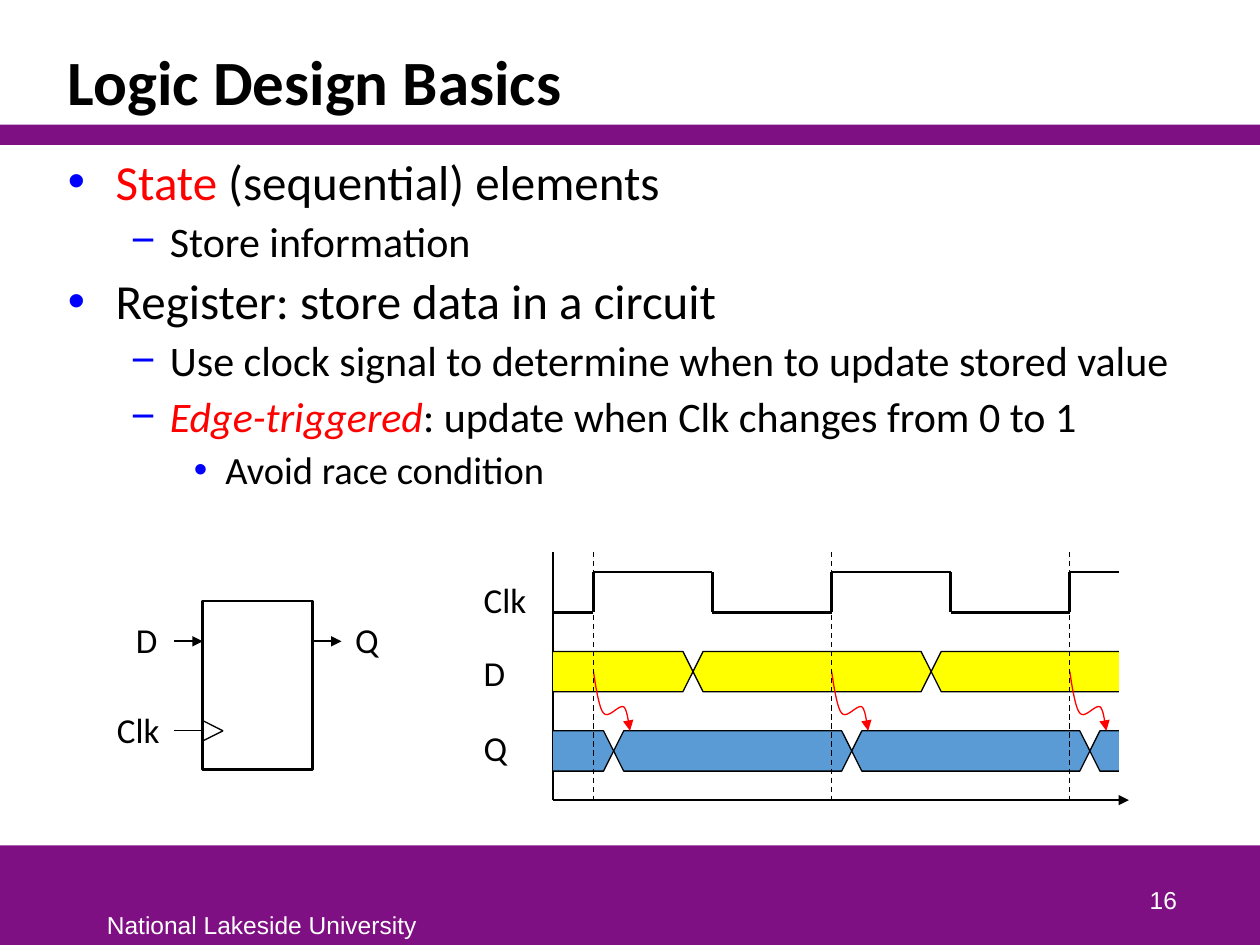
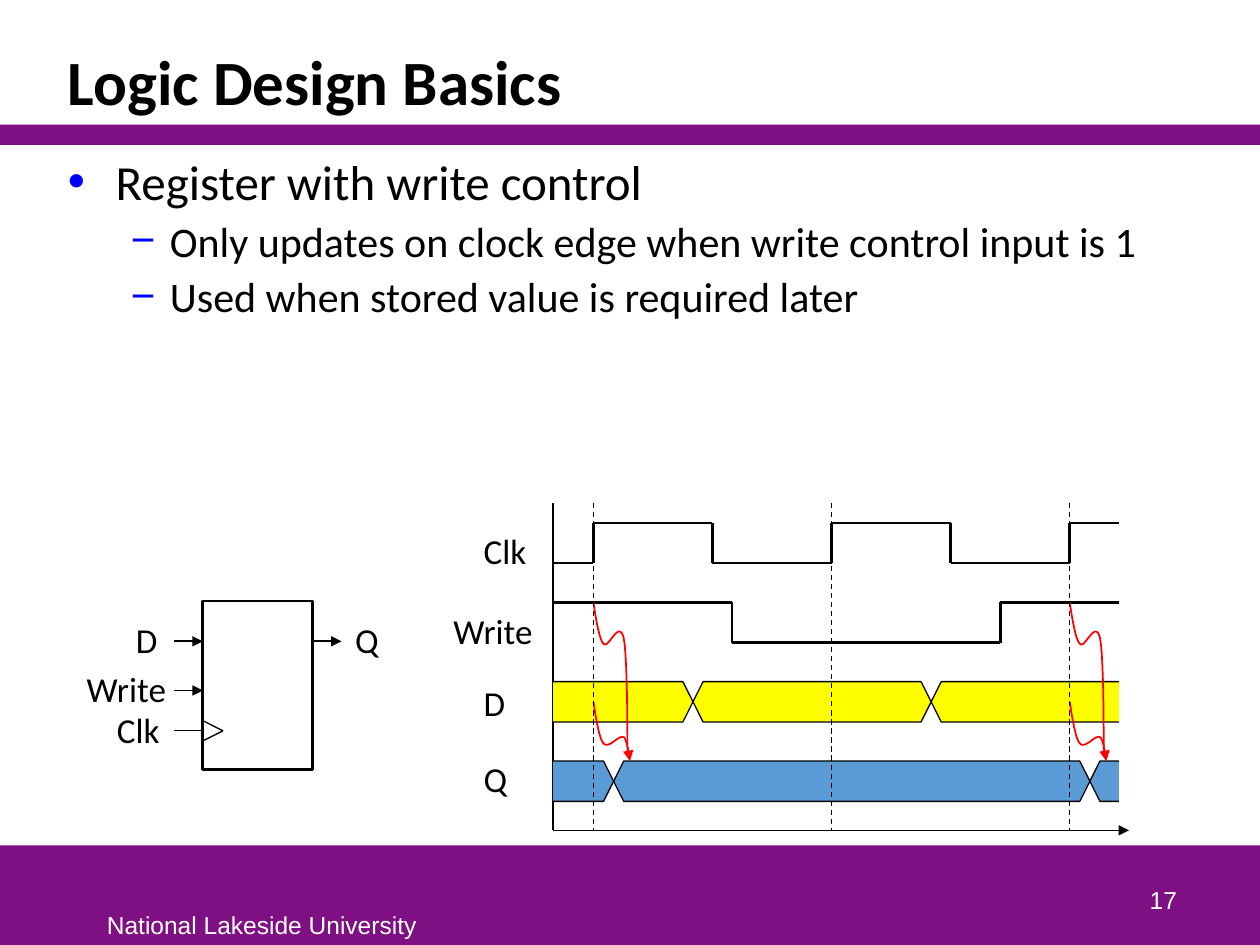
from dataclasses import dataclass

from lxml import etree
from pptx import Presentation
from pptx.dml.color import RGBColor
from pptx.enum import dml, shapes, text
from pptx.oxml.ns import qn
from pptx.util import Inches, Pt


@dataclass(frozen=True)
class Theme:
    band: str = "7F1084"
    ink: str = "000000"
    paper: str = "FFFFFF"
    accent: str = "FF0000"
    bullet: str = "0000FF"
    data_bus: str = "FFFF00"
    output_bus: str = "5B9BD5"
    body_font: str = "Calibri"
    footer_font: str = "Arial"
    title_size: int = 36
    label_size: int = 20
    footer_size: int = 14
    thin: float = 0.75
    medium: float = 1
    thick: float = 1.5


@dataclass(frozen=True)
class Signal:
    """Label width, left offsets from register and time axis, drop in a row."""
    width: float
    register_left: float
    axis_left: float
    drop: float


THEME = Theme()
SIGNALS = {
    "Clk": Signal(0.54, -0.78, -0.65, 0),
    "Write": Signal(0.84, -1.02, -0.89, 0.01),
    "D": Signal(0.37, -0.63, -0.65, -0.05),
    "Q": Signal(0.39, 1.11, -0.65, -0.08),
}
# Outline level: size, left margin, hanging indent, bullet
LEVELS = [(28, 0.38, 0.38, "•"), (24, 0.81, 0.31, "−"), (22, 1.25, 0.25, "•")]

ROW_TOP, ROW_STEP, ROW_HEIGHT, ROW_TAIL = 0.16, 0.63, 0.32, 0.55
FIRST_EDGE, PERIOD, BEVEL = 0.32, 1.89, 0.08
EDGES = [FIRST_EDGE + PERIOD * i for i in range(3)]
DATA_CHANGES = [edge + 0.79 for edge in EDGES[:2]]
OUTPUT_DELAY = 0.16

DATA_CURVE = [(0, 0), (0.01, 0.06), (0.04, 0.29), (0.08, 0.33),
              (0.12, 0.38), (0.2, 0.26), (0.24, 0.28),
              (0.27, 0.3), (0.28, 0.43), (0.29, 0.47)]
WRITE_CURVE = DATA_CURVE[:5] + [(0.2, 0.13), (0.24, 0.28),
                                (0.27, 0.42), (0.27, 1.01), (0.27, 1.2)]


def rgb(value):
    return RGBColor.from_string(value)


def add_run(paragraph, words, *, size, font=THEME.body_font, color=THEME.ink,
            bold=False, italic=False):
    run = paragraph.add_run()
    run.text = words
    run.font.size, run.font.name = Pt(size), font
    run.font.bold, run.font.italic = bold, italic
    run.font.color.rgb = rgb(color)


def add_text(parent, words, box, *, wrap=True, anchor=text.MSO_ANCHOR.TOP,
             align=text.PP_ALIGN.LEFT, spacing=None, **style):
    frame = parent.add_textbox(*map(Inches, box)).text_frame
    frame.word_wrap, frame.vertical_anchor = wrap, anchor
    paragraph = frame.paragraphs[0]
    paragraph.alignment, paragraph.line_spacing = align, spacing
    if words:
        add_run(paragraph, words, **style)
    return frame


def style_line(shape, width, color=THEME.ink, arrow=False, dashed=False):
    shape.line.color.rgb = rgb(color)
    shape.line.width = Pt(width)
    if dashed:
        shape.line.dash_style = dml.MSO_LINE.DASH
    if arrow:
        ln = shape._element.spPr.find(qn("a:ln"))
        etree.SubElement(ln, qn("a:tailEnd"), type="triangle")


def add_line(parent, start, end, width=THEME.thin, **style):
    line = parent.add_connector(shapes.MSO_CONNECTOR.STRAIGHT,
                                *map(Inches, (*start, *end)))
    etree.SubElement(line._element.spPr, qn("a:effectLst"))
    style_line(line, width, **style)


def add_outline(parent, points, closed=False, fill=None, width=THEME.thin, **style):
    first, *rest = [(Inches(x), Inches(y)) for x, y in points]
    builder = parent.build_freeform(*first)
    builder.add_line_segments(rest, close=closed)
    outline = builder.convert_to_shape()
    outline.shadow.inherit = False
    if fill:
        outline.fill.solid()
        outline.fill.fore_color.rgb = rgb(fill)
    else:
        outline.fill.background()
    style_line(outline, width, **style)


def add_rectangle(parent, box, fill=None):
    rectangle = parent.add_shape(shapes.MSO_SHAPE.RECTANGLE, *map(Inches, box))
    rectangle.shadow.inherit = False
    if fill:
        rectangle.fill.solid()
        rectangle.fill.fore_color.rgb = rgb(fill)
        rectangle.line.fill.background()
    else:
        rectangle.fill.background()
        style_line(rectangle, THEME.thick)


def add_label(parent, name, left, top):
    add_text(parent, name, (left, top, SIGNALS[name].width, 0.44),
             wrap=False, size=THEME.label_size)


def add_frame(slide, title, number):
    """Bands, footer, title and page number shared by all slides."""
    parts = slide.shapes
    for box in ((0, 6.71, 10, 0.79), (0, 0.99, 10, 0.16)):
        add_rectangle(parts, box, THEME.band)
    footer = dict(size=THEME.footer_size, font=THEME.footer_font, color=THEME.paper)
    add_text(parts, "National Lakeside University", (0.75, 7.17, 2.76, 0.33),
             wrap=False, **footer)
    add_text(parts, title, (0.44, 0.25, 9.12, 0.74), spacing=0.85,
             anchor=text.MSO_ANCHOR.BOTTOM, size=THEME.title_size, bold=True)
    add_text(parts, str(number), (7.36, 6.81, 2.08, 0.5),
             anchor=text.MSO_ANCHOR.BOTTOM, align=text.PP_ALIGN.RIGHT, **footer)


def add_bullet(paragraph, level):
    _, margin, hanging, mark = LEVELS[level]
    properties = paragraph._p.get_or_add_pPr()
    properties.set("marL", str(Inches(margin)))
    properties.set("indent", str(-Inches(hanging)))
    color = etree.SubElement(properties, qn("a:buClr"))
    etree.SubElement(color, qn("a:srgbClr"), val=THEME.bullet)
    etree.SubElement(properties, qn("a:buFont"), typeface=THEME.footer_font)
    etree.SubElement(properties, qn("a:buChar"), char=mark)


def add_outline_text(slide, items, box):
    """Each item is a level followed by (words, format) runs."""
    frame = add_text(slide.shapes, "", box)
    for index, (level, *runs) in enumerate(items):
        paragraph = frame.add_paragraph() if index else frame.paragraphs[0]
        paragraph.level = level
        paragraph.space_before = Pt(3)
        add_bullet(paragraph, level)
        for words, style in runs:
            add_run(paragraph, words, size=LEVELS[level][0], **style)


def add_register(slide, box, has_write):
    left, top, width, _ = box
    parts = slide.shapes.add_group_shape().shapes
    add_rectangle(parts, box)
    pins = {"D": 0.32, "Clk": 1.03, "Q": 0.32}
    if has_write:
        pins["Write"] = 0.71
    for name, drop in pins.items():
        y = top + drop
        x = left + width if name == "Q" else left - 0.23
        clock = name == "Clk"
        add_line(parts, (x, y), (x + 0.23, y),
                 THEME.thin if clock else THEME.medium, arrow=not clock)
        add_label(parts, name, left + SIGNALS[name].register_left, y - 0.23)
    clock_y = top + pins["Clk"]
    for rise in (-0.08, 0.08):
        add_line(parts, (left, clock_y + rise), (left + 0.16, clock_y))


def add_wave(parts, left, right, top, toggles, high):
    """Two-level wave that starts high or low and flips at each toggle."""
    level = {True: top, False: top + ROW_HEIGHT}
    x = left
    for toggle in toggles:
        add_line(parts, (x, level[high]), (toggle, level[high]), THEME.thick)
        add_line(parts, (toggle, top), (toggle, top + ROW_HEIGHT), THEME.thick)
        x, high = toggle, not high
    add_line(parts, (x, level[high]), (right, level[high]), THEME.thick)


def add_bus(parts, left, right, top, changes, fill):
    """Row of value cells which cross over at each change, open at both ends."""
    middle, bottom = top + ROW_HEIGHT / 2, top + ROW_HEIGHT
    stops = [left, *changes, right]
    for start, end in zip(stops, stops[1:]):
        head = [(start + BEVEL, bottom), (start, middle), (start + BEVEL, top)]
        tail = [(end - BEVEL, top), (end, middle), (end - BEVEL, bottom)]
        if start == left:
            points = [(left, top), *tail, (left, bottom)]
        elif end == right:
            points = [(right, bottom), *head, (right, top)]
        else:
            points = head + tail
        add_outline(parts, points, closed=left < start and end < right, fill=fill)


def curve_points(controls, x, y, steps=10):
    """Points along joined cubic curves, moved to x, y."""
    points = [(x, y)]
    for i in range(0, len(controls) - 1, 3):
        for step in range(1, steps + 1):
            t = step / steps
            weights = ((1 - t) ** 3, 3 * t * (1 - t) ** 2, 3 * t * t * (1 - t), t ** 3)
            quad = controls[i:i + 4]
            points.append((x + sum(w * p[0] for w, p in zip(weights, quad)),
                           y + sum(w * p[1] for w, p in zip(weights, quad))))
    return points


def add_timing(slide, left, top, width, signals, updates):
    """Timing diagram; updates are the clock edges at which Q changes."""
    parts = slide.shapes.add_group_shape().shapes
    right = left + width
    rows = {name: top + ROW_TOP + ROW_STEP * i for i, name in enumerate(signals)}
    bottom = rows["Q"] + ROW_TAIL
    has_write = "Write" in rows

    for name, y in rows.items():
        signal = SIGNALS[name]
        add_label(parts, name, left + signal.axis_left, y + signal.drop)
    add_line(parts, (left, bottom), (right + 0.08, bottom), arrow=True)
    add_line(parts, (left, bottom), (left, top))

    half_periods = [left + FIRST_EDGE + PERIOD / 2 * i for i in range(5)]
    add_wave(parts, left, right, rows["Clk"], half_periods, high=False)
    if has_write:
        add_wave(parts, left, right, rows["Write"], (left + 1.42, left + 3.55), high=True)
    add_bus(parts, left, right, rows["D"], [left + x for x in DATA_CHANGES],
            THEME.data_bus)
    add_bus(parts, left, right, rows["Q"],
            [left + x + OUTPUT_DELAY for x in updates], THEME.output_bus)

    cause = dict(color=THEME.accent, width=THEME.medium if has_write else THEME.thin)
    for edge in updates:
        x = left + edge
        add_outline(parts, curve_points(DATA_CURVE, x, rows["D"] + ROW_HEIGHT / 2),
                    arrow=True, **cause)
        if has_write:
            add_outline(parts, curve_points(WRITE_CURVE, x, rows["Write"]), **cause)
    for edge in EDGES:
        add_line(parts, (left + edge, top), (left + edge, bottom), dashed=True)


def add_register_slide(deck, number, items, timing_top, signals, updates):
    slide = deck.slides.add_slide(deck.slide_layouts[6])
    add_frame(slide, "Logic Design Basics", number)
    add_outline_text(slide, items, (0.44, 1.15, 9.12, 5.53))
    add_register(slide, (1.61, 4.77, 0.87, 1.34), "Write" in signals)
    add_timing(slide, 4.39, timing_top, 4.49, signals, updates)


def main():
    deck = Presentation()
    deck.slide_width, deck.slide_height = Inches(10), Inches(7.5)
    red = dict(color=THEME.accent)
    add_register_slide(deck, 16, [
        (0, ("State", red), (" (sequential) elements", {})),
        (1, ("Store information", {})),
        (0, ("Register: store data in a circuit", {})),
        (1, ("Use clock signal to determine when to update stored value", {})),
        (1, ("Edge-triggered", dict(red, italic=True)),
         (": update when Clk changes from 0 to 1", {})),
        (2, ("Avoid race condition", {})),
    ], 4.38, ("Clk", "D", "Q"), EDGES)
    add_register_slide(deck, 17, [
        (0, ("Register with write control", {})),
        (1, ("Only updates on clock edge when write control input is 1", {})),
        (1, ("Used when stored value is required later", {})),
    ], 3.99, ("Clk", "Write", "D", "Q"), EDGES[::2])
    deck.save("out.pptx")


if __name__ == "__main__":
    main()
